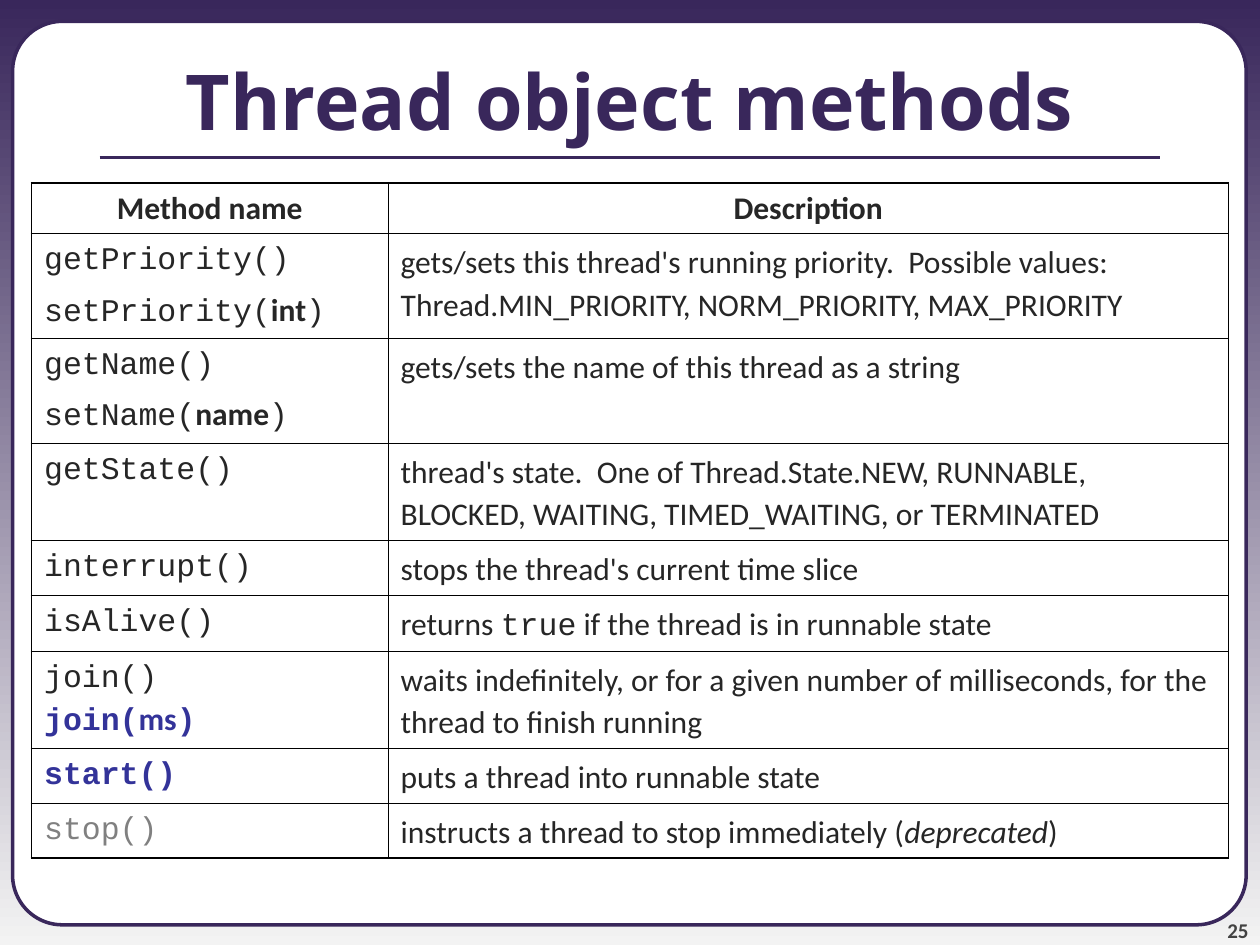
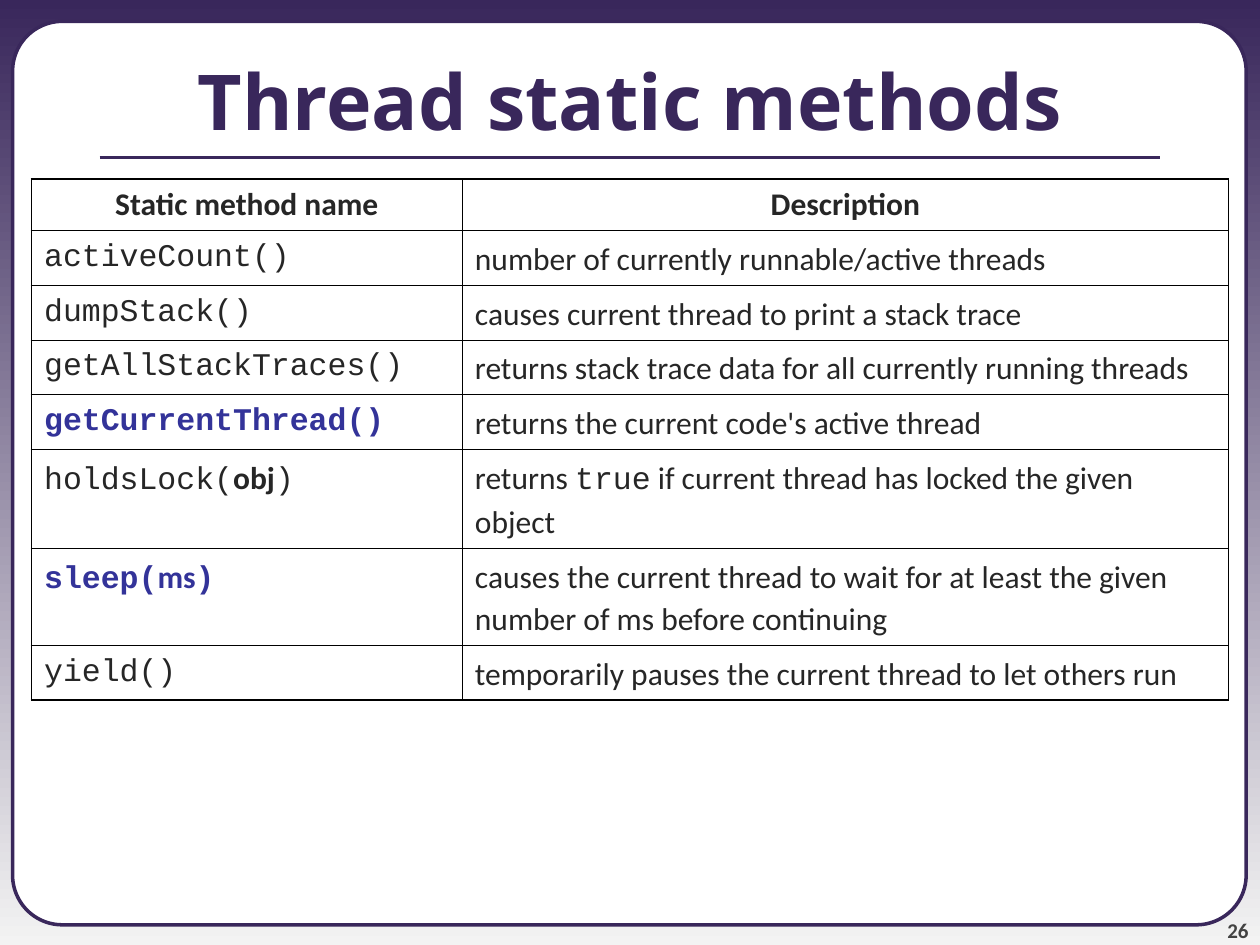
from dataclasses import dataclass

from lxml import etree
from pptx import Presentation
from pptx.dml.color import RGBColor
from pptx.enum.shapes import MSO_CONNECTOR as Connector, MSO_SHAPE as Shape
from pptx.enum.text import MSO_ANCHOR as Anchor, MSO_AUTO_SIZE as AutoSize, PP_ALIGN as Align
from pptx.oxml.ns import qn
from pptx.util import Inches, Pt

PURPLE = RGBColor(0x39, 0x27, 0x5B)
PALE = RGBColor(0xF3, 0xF3, 0xF3)
WHITE = RGBColor(0xFF, 0xFF, 0xFF)
BLACK = RGBColor(0x00, 0x00, 0x00)
INK = RGBColor(0x26, 0x26, 0x26)
NUMBER_GRAY = RGBColor(0x42, 0x42, 0x42)
FADED = RGBColor(0x80, 0x80, 0x80)
BLUE = RGBColor(0x33, 0x33, 0x99)

SANS, MONO, TITLE_FONT = "Calibri", "Courier New", "Noto Sans"
OUTER_LINE, INNER_LINE = Pt(1.08), Pt(0.45)
TABLE_LEFT, TABLE_WIDTH = 0.25, 9.5
HEADER_HEIGHT, ONE_LINE, TWO_LINES, TWO_PARAS = 0.4, 0.43, 0.76, 0.83


@dataclass(frozen=True)
class Style:
    font: str = SANS
    size: float = 18
    color: RGBColor = INK
    bold: bool = False
    italic: bool = False


TITLE = Style(TITLE_FONT, 44, PURPLE, bold=True)
PAGE_NUMBER = Style(size=12, color=NUMBER_GRAY, bold=True)
BODY = Style()
STRONG = Style(bold=True)
EMPHASIS = Style(italic=True)
CODE = Style(MONO)
KEY_CODE = Style(MONO, color=BLUE, bold=True)
KEY_ARGUMENT = Style(color=BLUE, bold=True)
OLD_CODE = Style(MONO, color=FADED)

# Each row: height, paragraphs of the name, runs of the description.
OBJECT_METHODS = [
    (TWO_PARAS,
     [[("getPriority()", CODE)],
      [("setPriority(", CODE), ("int", STRONG), (")", CODE)]],
     [("gets/sets this thread's running priority.  Possible values: "
       "Thread.MIN_PRIORITY, NORM_PRIORITY, MAX_PRIORITY", BODY)]),
    (TWO_PARAS,
     [[("getName()", CODE)],
      [("setName(", CODE), ("name", STRONG), (")", CODE)]],
     [("gets/sets the name of this thread as a string", BODY)]),
    (TWO_LINES, [[("getState()", CODE)]],
     [("thread's state.  One of Thread.State.NEW, RUNNABLE, BLOCKED, "
       "WAITING, TIMED_WAITING, or TERMINATED", BODY)]),
    (ONE_LINE, [[("interrupt()", CODE)]],
     [("stops the thread's current time slice", BODY)]),
    (ONE_LINE, [[("isAlive()", CODE)]],
     [("returns ", BODY), ("true", CODE),
      (" if the thread is in runnable state", BODY)]),
    (TWO_LINES,
     [[("join()", CODE), ("\n", CODE), ("join(", KEY_CODE),
       ("ms", KEY_ARGUMENT), (")", KEY_CODE)]],
     [("waits indefinitely, or for a given number of milliseconds, "
       "for the thread to finish running", BODY)]),
    (ONE_LINE, [[("start()", KEY_CODE)]],
     [("puts a thread into runnable state", BODY)]),
    (ONE_LINE, [[("stop()", OLD_CODE)]],
     [("instructs a thread to stop immediately (", BODY),
      ("deprecated", EMPHASIS), (")", BODY)]),
]

STATIC_METHODS = [
    (ONE_LINE, [[("activeCount()", CODE)]],
     [("number of currently runnable/active threads", BODY)]),
    (ONE_LINE, [[("dumpStack()", CODE)]],
     [("causes current thread to print a stack trace", BODY)]),
    (ONE_LINE, [[("getAllStackTraces()", CODE)]],
     [("returns stack trace data for all currently running threads", BODY)]),
    (ONE_LINE, [[("getCurrentThread()", KEY_CODE)]],
     [("returns the current code's active thread", BODY)]),
    (TWO_LINES, [[("holdsLock(", CODE), ("obj", STRONG), (")", CODE)]],
     [("returns ", BODY), ("true", CODE),
      (" if current thread has locked the given object", BODY)]),
    (TWO_LINES,
     [[("sleep(", KEY_CODE), ("ms", KEY_ARGUMENT), (")", KEY_CODE)]],
     [("causes the current thread to wait for at least the given number "
       "of ms before continuing", BODY)]),
    (ONE_LINE, [[("yield()", CODE)]],
     [("temporarily pauses the current thread to let others run", BODY)]),
]


def add_runs(para, runs):
    for text, style in runs:
        if text == "\n":
            para.add_line_break()
            continue
        span = para.add_run()
        span.text = text
        font = span.font
        font.name, font.size = style.font, Pt(style.size)
        font.bold, font.italic = style.bold, style.italic
        font.color.rgb = style.color


def paint_background(master):
    fill = master.background.fill
    fill.gradient()
    fill.gradient_angle = 270
    for stop, color in zip(fill.gradient_stops, (PURPLE, PALE)):
        stop.color.rgb = color


def add_frame(slide):
    frame = slide.shapes.add_shape(Shape.ROUNDED_RECTANGLE, Inches(0.1), Inches(0.17),
                                   Inches(9.79), Inches(7.17))
    frame.adjustments[0] = 0.055
    frame.shadow.inherit = False
    frame.fill.solid()
    frame.fill.fore_color.rgb = WHITE
    frame.line.color.rgb = PURPLE
    frame.line.width = Pt(2)


def add_page_number(slide, number):
    box = slide.shapes.add_textbox(Inches(9.08), Inches(7.08), Inches(0.83), Inches(0.4))
    frame = box.text_frame
    frame.word_wrap = True
    frame.vertical_anchor = Anchor.BOTTOM
    frame.margin_left = frame.margin_top = frame.margin_right = frame.margin_bottom = 0
    para = frame.paragraphs[0]
    para.alignment = Align.RIGHT
    para.space_before = Pt(5)
    add_runs(para, [(str(number), PAGE_NUMBER)])


def add_title_rule(slide):
    rule = slide.shapes.add_connector(Connector.STRAIGHT, Inches(0.79), Inches(1.25),
                                      Inches(9.21), Inches(1.25))
    rule.line.color.rgb = PURPLE
    rule.line.width = Pt(2.25)
    etree.SubElement(rule.element.spPr, qn("a:effectLst"))


def set_title(slide, text):
    title = slide.shapes.title
    title.left, title.top = 0, Inches(0.17)
    title.width, title.height = Inches(10), Inches(1.25)
    frame = title.text_frame
    frame.auto_size = AutoSize.NONE
    frame.word_wrap = True
    frame.vertical_anchor = Anchor.MIDDLE
    para = frame.paragraphs[0]
    para.alignment = Align.CENTER
    add_runs(para, [(text, TITLE)])
    # Bring the title in front of the white frame.
    title.element.getparent().append(title.element)


def draw_borders(cell, outer_sides):
    props = cell._tc.get_or_add_tcPr()
    for side in "LRTB":
        width = OUTER_LINE if side in outer_sides else INNER_LINE
        line = etree.SubElement(props, qn(f"a:ln{side}"), w=str(int(width)))
        fill = etree.SubElement(line, qn("a:solidFill"))
        etree.SubElement(fill, qn("a:srgbClr"), val=str(BLACK))


def fill_cell(cell, paragraphs, is_header):
    cell.margin_left = cell.margin_right = Inches(0.1)
    cell.margin_top = cell.margin_bottom = Inches(0.05)
    cell.fill.background()
    frame = cell.text_frame
    for index, runs in enumerate(paragraphs):
        para = frame.add_paragraph() if index else frame.paragraphs[0]
        para.space_before = Pt(4.5)
        if is_header:
            para.alignment = Align.CENTER
        else:
            para.line_spacing = 1.1
        add_runs(para, runs)


def add_method_table(slide, top, name_width, name_heading, methods):
    header = (HEADER_HEIGHT, [[(name_heading, STRONG)]], [("Description", STRONG)])
    rows = [header, *methods]
    height = sum(row[0] for row in rows)
    table = slide.shapes.add_table(len(rows), 2, Inches(TABLE_LEFT), Inches(top),
                                   Inches(TABLE_WIDTH), Inches(height)).table
    table.first_row = table.horz_banding = False
    table.columns[0].width = Inches(name_width)
    table.columns[1].width = Inches(TABLE_WIDTH - name_width)
    for r, (row_height, name, description) in enumerate(rows):
        table.rows[r].height = Inches(row_height)
        edge = "T" if r == 0 else "B" if r == len(rows) - 1 else ""
        for c, paragraphs in enumerate((name, [description])):
            cell = table.cell(r, c)
            draw_borders(cell, edge + "LR"[c])
            fill_cell(cell, paragraphs, is_header=r == 0)


def add_method_slide(deck, number, title, top, name_width, name_heading, methods):
    slide = deck.slides.add_slide(deck.slide_layouts.get_by_name("Title Only"))
    add_frame(slide)
    add_page_number(slide, number)
    add_title_rule(slide)
    set_title(slide, title)
    add_method_table(slide, top, name_width, name_heading, methods)


def main():
    deck = Presentation()
    deck.slide_width, deck.slide_height = Inches(10), Inches(7.5)
    paint_background(deck.slide_master)
    add_method_slide(deck, 25, "Thread object methods", 1.45, 2.83,
                     "Method name", OBJECT_METHODS)
    add_method_slide(deck, 26, "Thread static methods", 1.42, 3.42,
                     "Static method name", STATIC_METHODS)
    deck.save("out.pptx")


if __name__ == "__main__":
    main()
